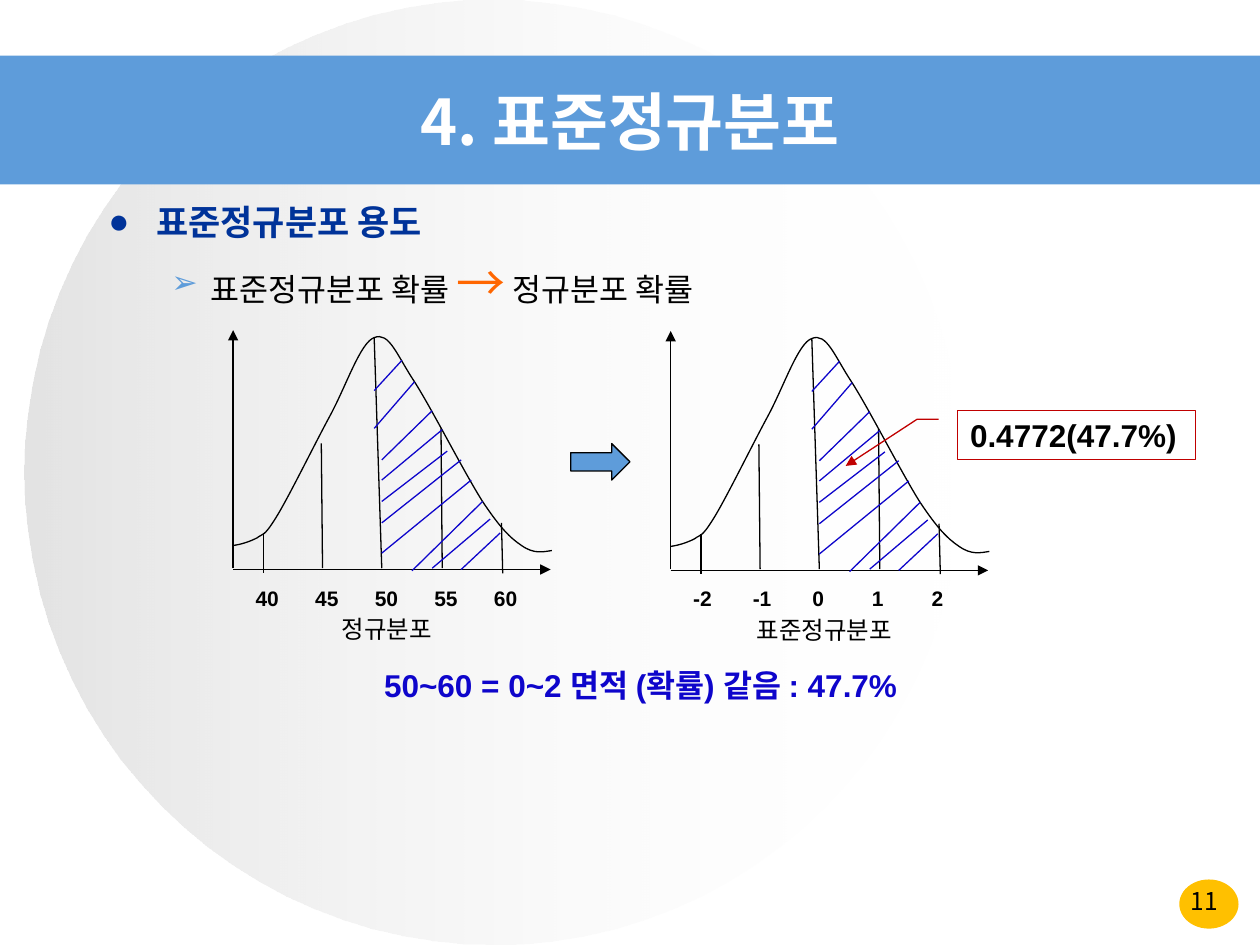
from lxml.etree import SubElement
from pptx import Presentation
from pptx.dml.color import RGBColor
from pptx.enum.shapes import MSO_CONNECTOR as Connector, MSO_SHAPE as Shape
from pptx.enum.text import MSO_ANCHOR as Anchor, MSO_AUTO_SIZE as AutoSize, PP_ALIGN as Align
from pptx.oxml.ns import qn
from pptx.util import Inches, Pt

CELL = Inches(0.1)
COLUMNS, ROWS = 100, 75
KOREAN, LATIN = "Noto Sans CJK KR", "Arial"
BLACK = RGBColor(0x00, 0x00, 0x00)
WHITE = RGBColor(0xFF, 0xFF, 0xFF)
SILVER = RGBColor(0xC0, 0xC0, 0xC0)
SKY = RGBColor(0x5E, 0x9C, 0xDA)
NAVY = RGBColor(0x00, 0x33, 0x99)
ORANGE = RGBColor(0xFF, 0x66, 0x00)
BLUE = RGBColor(0x0E, 0x05, 0xCB)
RED = RGBColor(0xC0, 0x00, 0x00)
AMBER = RGBColor(0xFF, 0xC0, 0x00)

BELL = [(0, 17.1), (0.7, 17), (1.3, 16.8), (1.9, 16.5), (2.4, 16.1), (2.4, 16.5), (3.4, 14.9),
        (4.4, 13.3), (6.4, 9.2), (7.7, 6.8), (9, 4.4), (10.1, 1), (11.2, 0.6),
        (12.4, 0.1), (13, 2), (14.4, 4.1), (15.8, 6.3), (18.4, 11.4), (19.8, 13.6),
        (21.2, 15.7), (22, 16.5), (22.9, 17.1), (23.9, 17.8), (24.6, 17.6), (25.3, 17.5)]
AXES = [(0, 18.9, 0, 0), (0, 19, 25.2, 19)]
MARKS = [(11.2, 0.6, 11.8, 18.9), (7, 9, 7.1, 18.9), (16.5, 7.8, 16.6, 18.9),
         (2.4, 16.1, 2.4, 19.3), (21.3, 15.3, 21.4, 19.3)]
HATCHES = [(18.9, 11.9, 11.8, 17.7), (19.8, 13.6, 14.2, 19.1), (20.4, 15, 15.8, 18.9),
           (21.2, 16.1, 18.1, 19), (18.1, 10.3, 11.8, 15.3), (16.6, 7.9, 11.8, 11.9),
           (14.4, 4.1, 11.2, 7.8), (15.8, 6.4, 11.8, 10.3), (13.4, 2.4, 11.2, 4.8),
           (17, 9.6, 11.8, 13.6)]


def cells(*counts):
    """Turn grid counts into slide lengths."""
    return [round(count * CELL) for count in counts]


def apply(target, **values):
    """Set every given attribute on the target."""
    for name, value in values.items():
        setattr(target, name, value)


def add_run(paragraph, text, size, color, name=LATIN, bold=False):
    """Append a formatted run without kerning to a paragraph."""
    run = paragraph.add_run()
    run.text = text
    apply(run.font, size=Pt(size), name=name, bold=bold)
    run.font.color.rgb = color
    run.font._element.set("kern", "0")
    SubElement(run.font._element, qn("a:ea"), typeface=KOREAN)


def add_text(slide, box, text, size, color, align=Align.LEFT, **style):
    """Add a one-line text box."""
    frame = slide.shapes.add_textbox(*cells(*box)).text_frame
    frame.word_wrap = True
    frame.paragraphs[0].alignment = align
    add_run(frame.paragraphs[0], text, size, color, **style)


def add_preset(slide, kind, box, fill=None, line=None):
    """Add a preset shape with optional fill and outline."""
    shape = slide.shapes.add_shape(kind, *cells(*box))
    shape.shadow.inherit = False
    if fill is None:
        shape.fill.background()
    else:
        shape.fill.solid()
        shape.fill.fore_color.rgb = fill
    if line is None:
        shape.line.fill.background()
    else:
        set_line(shape, line)
    return shape


def set_line(shape, color, arrow=False):
    """Draw a thin line, optionally ending in an arrowhead."""
    shape.line.color.rgb = color
    shape.line.width = Pt(0.75)
    if arrow:
        SubElement(shape.line._get_or_add_ln(), qn("a:tailEnd"), type="triangle")


def add_line(slide, ends, color, arrow=False):
    """Add a straight connector."""
    connector = slide.shapes.add_connector(Connector.STRAIGHT, *cells(*ends))
    set_line(connector, color, arrow)
    SubElement(connector._element.spPr, qn("a:effectLst"))


def add_curve(slide, points, color):
    """Add an open outline whose points form a chain of cubic curves."""
    builder = slide.shapes.build_freeform(*points[0])
    builder.add_line_segments(points[1:], close=False)
    curve = builder.convert_to_shape()
    curve.shadow.inherit = False
    curve.fill.background()
    set_line(curve, color)
    path = next(curve._element.iter(qn("a:path")))
    segments = path.findall(qn("a:lnTo"))
    for start in range(0, len(segments), 3):
        cubic = SubElement(path, qn("a:cubicBezTo"))
        for segment in segments[start:start + 3]:
            cubic.append(segment[0])
            path.remove(segment)


def add_distribution(slide, left, top, labels, caption):
    """Add a bell curve with axes, hatched area, labels and caption."""
    def place(ends):
        return [ends[0] + left, ends[1] + top, ends[2] + left, ends[3] + top]

    for axis in AXES:
        add_line(slide, place(axis), BLACK, arrow=True)
    add_curve(slide, [cells(x + left, y + top) for x, y in BELL], BLACK)
    for color, lines in ((BLACK, MARKS), (BLUE, HATCHES)):
        for ends in lines:
            add_line(slide, place(ends), color)
    for index, label in enumerate(labels):
        box = (left + 0.8 + 4.73 * index, top + 19.75, 3.9, 3)
        add_text(slide, box, label, 12, BLACK, bold=True)
    add_text(slide, (left + 4.7, top + 22.05, 15, 3.4), caption, 14, BLACK, Align.CENTER)


def add_backdrop(slide):
    """Add the page badge, the fading circle and the title band."""
    add_preset(slide, Shape.OVAL, (93.6, 69.8, 4.7, 3.9), AMBER)
    circle = add_preset(slide, Shape.OVAL, (1.95, 0, 74.4, ROWS), SILVER)
    circle.fill.gradient()
    circle.fill.gradient_angle = 0
    for stop, color, position, alpha in zip(circle.fill.gradient_stops, (SILVER, WHITE),
                                            (0, 1), ("44000", "0")):
        stop.color.rgb = color
        stop.position = position
        SubElement(stop._gs.find(qn("a:srgbClr")), qn("a:alpha"), val=alpha)
    add_preset(slide, Shape.RECTANGLE, (0, 4.42, COLUMNS, 10.22), SKY)


def place_placeholder(slide, shape, box):
    """Move a placeholder onto the grid and in front of the backdrop."""
    slide.shapes._spTree.append(shape._element)
    apply(shape, **dict(zip(("left", "top", "width", "height"), cells(*box))))
    apply(shape.text_frame, auto_size=AutoSize.NONE, word_wrap=True)
    return shape.text_frame


def set_bullet(paragraph, symbol, color, margin, indent):
    """Give a paragraph a coloured bullet and a hanging indent."""
    properties = paragraph._p.get_or_add_pPr()
    properties.set("marL", str(Inches(margin)))
    properties.set("indent", str(Inches(indent)))
    bullet_color = SubElement(properties, qn("a:buClr"))
    SubElement(bullet_color, qn("a:srgbClr"), val=str(color))
    SubElement(properties, qn("a:buFont"), typeface=LATIN)
    SubElement(properties, qn("a:buChar"), char=symbol)


def fill_placeholders(slide):
    """Write the title and the two-level list."""
    title = place_placeholder(slide, slide.shapes.title, (0, 5.8, COLUMNS, 7.5))
    title.vertical_anchor = Anchor.MIDDLE
    title.paragraphs[0].alignment = Align.CENTER
    add_run(title.paragraphs[0], "4. 표준정규분포", 36, WHITE, KOREAN, True)
    body = place_placeholder(slide, slide.placeholders[1], (7.6, 15.45, 90.4, 50.8))
    heading, detail = body.paragraphs[0], body.add_paragraph()
    set_bullet(heading, "●", NAVY, 0.38, -0.38)
    heading.space_before = Pt(0)
    add_run(heading, "표준정규분포 용도", 20, NAVY, KOREAN, True)
    detail.level = 1
    set_bullet(detail, "➢", SKY, 0.81, -0.31)
    detail.space_before = Pt(5.6)
    add_run(detail, "표준정규분포 확률 ", 18, BLACK, KOREAN)
    add_run(detail, "→", 28, ORANGE)
    add_run(detail, " 정규분포 확률", 18, BLACK, KOREAN)


def add_callout(slide):
    """Add the probability callout pointing into the hatched area."""
    callout = add_preset(slide, Shape.LINE_CALLOUT_2, (76, 32.57, 18.9, 3.9), line=RED)
    SubElement(callout.line._get_or_add_ln(), qn("a:tailEnd"), type="triangle")
    for index, share in enumerate((0.18, -0.08, 0.18, -0.17, 1.13, -0.47)):
        callout.adjustments[index] = share
    callout.text_frame.vertical_anchor = Anchor.MIDDLE
    callout.text_frame.paragraphs[0].alignment = Align.LEFT
    add_run(callout.text_frame.paragraphs[0], "0.4772(47.7%)", 18, BLACK, bold=True)


def main():
    """Build and save the slide."""
    presentation = Presentation()
    presentation.slide_width, presentation.slide_height = cells(COLUMNS, ROWS)
    slide = presentation.slides.add_slide(presentation.slide_layouts[1])
    add_backdrop(slide)
    fill_placeholders(slide)
    add_text(slide, (91.2, 69.8, 8.8, 2.9), "11", 14, BLACK, Align.CENTER, name=KOREAN)
    add_distribution(slide, 18.5, 26.2, ("40", "45", "50", "55", "60"), "정규분포")
    add_distribution(slide, 53.23, 26.27, ("-2", "-1", "0", "1", "2"), "표준정규분포")
    add_text(slide, (29.5, 52.4, 47.3, 4), "50~60 = 0~2 면적 (확률) 같음 : 47.7%", 18, BLUE, bold=True)
    add_callout(slide)
    add_preset(slide, Shape.RIGHT_ARROW, (45.3, 35.2, 4.7, 2.9), SKY, BLACK)
    presentation.save("out.pptx")


if __name__ == "__main__":
    main()
